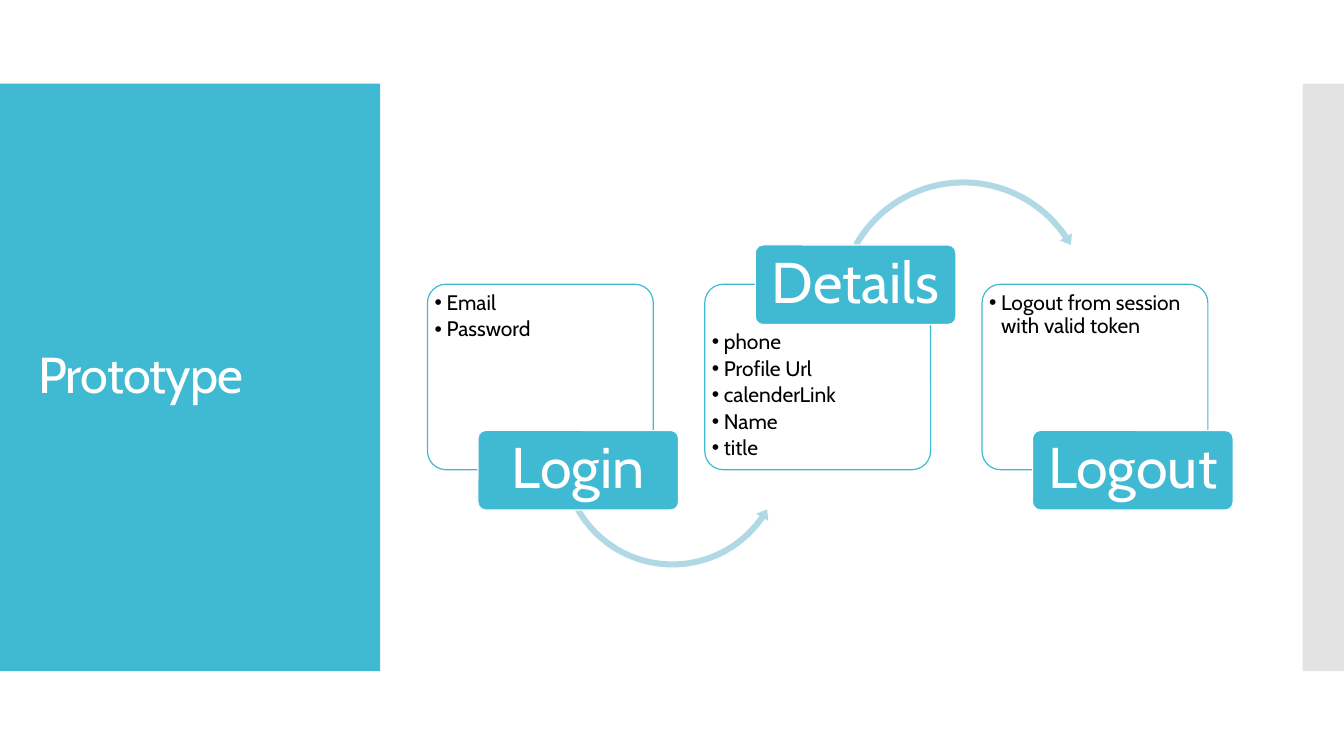
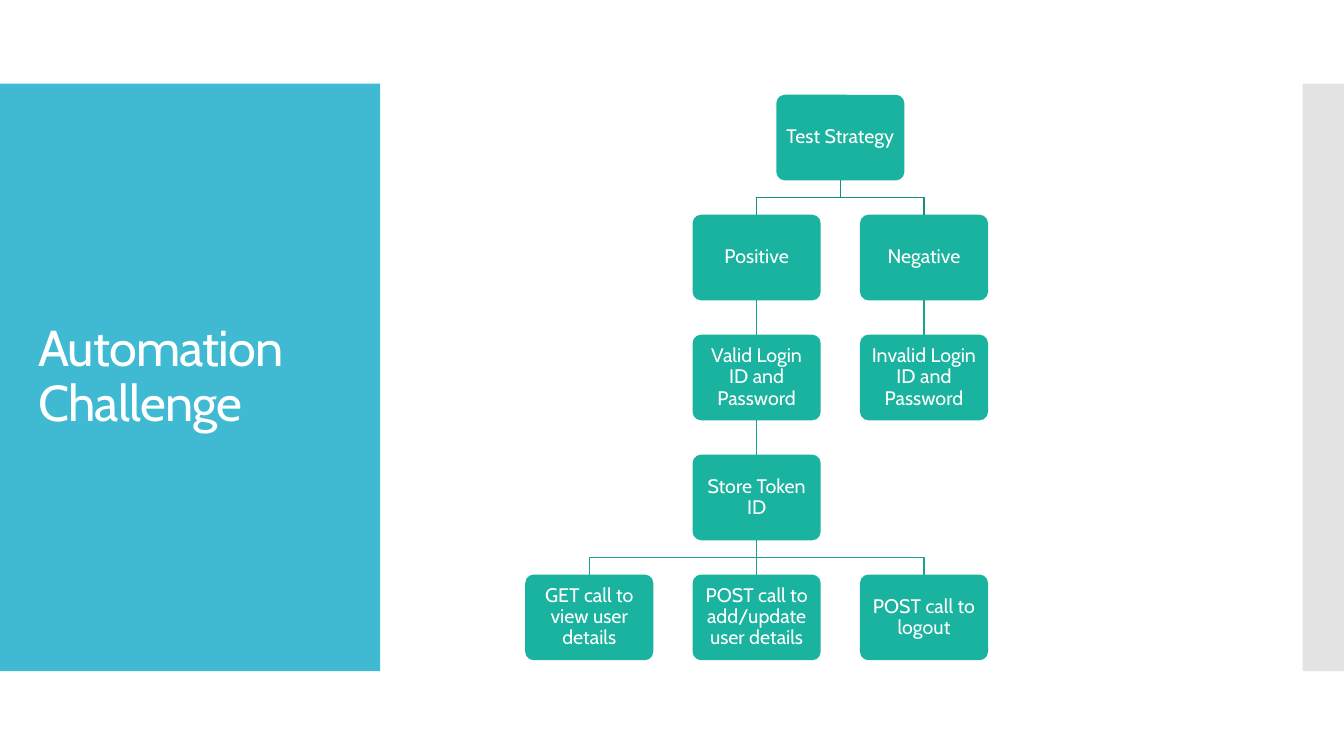
from dataclasses import dataclass
from typing import Optional

from lxml import etree
from pptx import Presentation
from pptx.dml.color import RGBColor
from pptx.enum.shapes import MSO_CONNECTOR, MSO_SHAPE
from pptx.enum.text import MSO_ANCHOR, MSO_AUTO_SIZE, PP_ALIGN
from pptx.oxml.ns import qn
from pptx.util import Inches, Pt

RECT, ROUNDED = MSO_SHAPE.RECTANGLE, MSO_SHAPE.ROUNDED_RECTANGLE
ARC_OVER, ARC_UNDER = MSO_SHAPE.CIRCULAR_ARROW, MSO_SHAPE.LEFT_CIRCULAR_ARROW
STRAIGHT = MSO_CONNECTOR.STRAIGHT
TOP, MIDDLE = MSO_ANCHOR.TOP, MSO_ANCHOR.MIDDLE
LEFT, CENTER = PP_ALIGN.LEFT, PP_ALIGN.CENTER
NO_AUTOFIT = MSO_AUTO_SIZE.NONE
TOP_SITE, BOTTOM_SITE = 0, 2
COMPARISON_LAYOUT, TITLE_LAYOUT = 4, 5


@dataclass(frozen=True)
class Theme:
    """Colours, font and type sizes of the deck."""
    white: RGBColor = RGBColor(0xFF, 0xFF, 0xFF)
    black: RGBColor = RGBColor(0, 0, 0)
    accent: RGBColor = RGBColor(0x40, 0xBA, 0xD2)
    pale_accent: RGBColor = RGBColor(0xB0, 0xD9, 0xE5)
    grey: RGBColor = RGBColor(0xC8, 0xC8, 0xC8)
    node: RGBColor = RGBColor(0x1A, 0xB3, 0x9F)
    root_link: RGBColor = RGBColor(0x15, 0x8F, 0x7F)
    link: RGBColor = RGBColor(0x18, 0xA2, 0x90)
    font: str = "Cabin"
    title_size: float = 36
    caption_size: float = 41
    list_size: float = 15
    node_size: float = 14
    line_width: float = 0.85
    corner: float = 0.1


@dataclass(frozen=True)
class Box:
    """A rectangle in inches."""
    left: float
    top: float
    width: float
    height: float

    def emu(self) -> tuple:
        """Return the four lengths for python-pptx."""
        return tuple(map(Inches, (self.left, self.top, self.width, self.height)))


@dataclass(frozen=True)
class Stage:
    """One step of the prototype flow."""
    caption: str
    items: tuple
    caption_on_top: bool = False


@dataclass(frozen=True)
class Arc:
    """A curved arrow; angles in degrees."""
    preset: int
    left: float
    top: float
    size: float
    head_angle: float
    end: float
    start: float


@dataclass(frozen=True)
class Node:
    """One box of the strategy tree, placed by column and row."""
    text: str
    column: float
    row: int
    parent: Optional[str] = None


THEME = Theme()
TITLE_BOX = Box(0.28, 1.23, 3.22, 5.03)

STAGES = (
    Stage("Login", ("Email", "Password")),
    Stage("Details", ("phone", "Profile Url", "calenderLink", "Name", "title"), True),
    Stage("Logout", ("Logout from session with valid token",)),
)
ARCS = (
    Arc(ARC_UNDER, 5.52, 3.37, 2.3, 4.95, 34.54, 150.41),
    Arc(ARC_OVER, 8.26, 1.74, 2.59, 4.37, 326.04, 209.59),
)
CARD_LEFT, CARD_TOP, CARD_STEP = 4.24, 2.82, 2.75
CARD_WIDTH, CARD_HEIGHT = 2.24, 1.84
ARC_THICKNESS, ARC_HEAD = 0.06, 0.07

NODES = (
    Node("Test Strategy", 1.5, 0),
    Node("Positive", 1, 1, "Test Strategy"),
    Node("Negative", 2, 1, "Test Strategy"),
    Node("Valid Login ID and Password", 1, 2, "Positive"),
    Node("Invalid Login ID and Password", 2, 2, "Negative"),
    Node("Store Token ID", 1, 3, "Valid Login ID and Password"),
    Node("GET call to view user details", 0, 4, "Store Token ID"),
    Node("POST call to add/update user details", 1, 4, "Store Token ID"),
    Node("POST call to logout", 2, 4, "Store Token ID"),
)
TREE_LEFT, TREE_TOP, COLUMN_STEP, ROW_STEP = 5.21, 0.94, 1.66, 1.19
NODE_WIDTH, NODE_HEIGHT = 1.27, 0.85


def write_text(frame, *lines: str, size: float, color: RGBColor = THEME.white,
               align=CENTER, anchor=MIDDLE, insets: tuple = (0.1, 0.05),
               after: float = 0, tracking: float = 0, bullets: bool = False) -> None:
    """Fill a text frame with one paragraph per line, all in one format."""
    frame.word_wrap = True
    frame.auto_size = NO_AUTOFIT
    frame.vertical_anchor = anchor
    frame.margin_left = frame.margin_right = Inches(insets[0])
    frame.margin_top = frame.margin_bottom = Inches(insets[1])
    for index, line in enumerate(lines):
        paragraph = frame.add_paragraph() if index else frame.paragraphs[0]
        paragraph.text = line
        paragraph.alignment = align
        paragraph.line_spacing = 0.9
        paragraph.space_before, paragraph.space_after = Pt(0), Pt(after)
        if bullets:
            add_bullet(paragraph)
        for run in paragraph.runs:
            run.font.name, run.font.size = THEME.font, Pt(size)
            run.font.bold = False
            run.font.color.rgb = color
            if tracking:
                run.font._element.set("spc", str(round(tracking * 100)))


def add_bullet(paragraph) -> None:
    """Give a paragraph a round bullet with a hanging indent."""
    properties = paragraph._p.get_or_add_pPr()
    hang = Inches(0.12)
    properties.set("marL", str(hang))
    properties.set("indent", str(-hang))
    etree.SubElement(properties, qn("a:buChar")).set("char", "•")


def add_block(slide, preset, box: Box, fill: RGBColor,
              line: Optional[RGBColor] = None, opacity: int = 100):
    """Add a flat preset shape with optional outline and transparency."""
    block = slide.shapes.add_shape(preset, *box.emu())
    block.shadow.inherit = False
    block.fill.solid()
    block.fill.fore_color.rgb = fill
    if opacity < 100:
        color = block.element.spPr.find(qn("a:solidFill"))[0]
        etree.SubElement(color, qn("a:alpha")).set("val", str(opacity * 1000))
    if line is None:
        block.line.fill.background()
    else:
        style_line(block, line)
    if preset == ROUNDED:
        block.adjustments[0] = THEME.corner
    return block


def style_line(shape, color: RGBColor) -> None:
    """Apply the deck's thin line in a colour."""
    shape.line.color.rgb = color
    shape.line.width = Pt(THEME.line_width)


def move_to(shape, box: Box) -> None:
    """Place a shape on a box."""
    shape.left, shape.top, shape.width, shape.height = box.emu()


def add_slide(deck, layout: int, title: str):
    """Add a slide with the title set in the left band."""
    slide = deck.slides.add_slide(deck.slide_layouts[layout])
    heading = slide.shapes.title
    move_to(heading, TITLE_BOX)
    write_text(heading.text_frame, title, size=THEME.title_size, align=LEFT,
               tracking=-0.6)
    return slide


def add_master_bands(deck, slide) -> None:
    """Put the title band and the edge band behind everything on the master."""
    tree = deck.slide_master.shapes.element
    bands = (
        add_block(slide, RECT, Box(0, 0.83, 3.77, 5.83), THEME.accent),
        add_block(slide, RECT, Box(12.92, 0.83, 0.42, 5.83), THEME.grey, opacity=50),
    )
    for index, band in enumerate(bands):
        band.element.nvSpPr.cNvPr.set("id", str(100 + index))
        tree.insert(2 + index, band.element)


def add_stage(slide, stage: Stage, left: float, listing) -> None:
    """Draw a card with its bulleted list."""
    add_block(slide, ROUNDED, Box(left, CARD_TOP, CARD_WIDTH, CARD_HEIGHT),
              THEME.white, THEME.accent, opacity=90)
    top = CARD_TOP + (0.44 if stage.caption_on_top else 0.05)
    move_to(listing, Box(left + 0.04, top, 2.15, 1.36))
    write_text(listing.text_frame, *stage.items, size=THEME.list_size,
               color=THEME.black, align=LEFT, anchor=TOP, insets=(0.03, 0.03),
               after=2.7, bullets=True)
    slide.shapes.element.append(listing.element)


def add_caption(slide, stage: Stage, left: float) -> None:
    """Draw the caption that overlaps a card's edge."""
    top = 2.43 if stage.caption_on_top else 4.27
    caption = add_block(slide, ROUNDED, Box(left + 0.5, top, 1.99, 0.79),
                        THEME.accent, THEME.white)
    write_text(caption.text_frame, stage.caption, size=THEME.caption_size,
               insets=(0.09, 0.06))


def add_arc(slide, arc: Arc) -> None:
    """Draw a curved arrow from one stage to the next."""
    arrow = add_block(slide, arc.preset, Box(arc.left, arc.top, arc.size, arc.size),
                      THEME.pale_accent)
    angles = [degrees * 0.6 for degrees in (arc.head_angle, arc.end, arc.start)]
    settings = (ARC_THICKNESS / arc.size, *angles, ARC_HEAD / arc.size)
    for index, value in enumerate(settings):
        arrow.adjustments[index] = value


def build_prototype(slide) -> None:
    """Draw the three-stage flow."""
    listings = [holder for holder in slide.placeholders
                if holder.placeholder_format.idx > 0]
    for spare in listings[len(STAGES):]:
        spare.element.getparent().remove(spare.element)
    lefts = [CARD_LEFT + CARD_STEP * index for index in range(len(STAGES))]
    for stage, left, listing in zip(STAGES, lefts, listings):
        add_stage(slide, stage, left, listing)
    for arc in ARCS:
        add_arc(slide, arc)
    for stage, left in zip(STAGES, lefts):
        add_caption(slide, stage, left)


def add_link(slide, parent, child, color: RGBColor) -> None:
    """Join a parent's bottom to a child's top, with a bend where needed."""
    start_x, end_x = (box.left + box.width // 2 for box in (parent, child))
    start_y, end_y = parent.top + parent.height, child.top
    if start_x == end_x:
        link = slide.shapes.add_connector(STRAIGHT, start_x, start_y, end_x, end_y)
        link.begin_connect(parent, BOTTOM_SITE)
        link.end_connect(child, TOP_SITE)
        etree.SubElement(link.element.spPr, qn("a:effectLst"))
    else:
        bend_y = (start_y + end_y) // 2
        outline = slide.shapes.build_freeform(start_x, start_y)
        outline.add_line_segments(
            [(start_x, bend_y), (end_x, bend_y), (end_x, end_y)], close=False)
        link = outline.convert_to_shape()
        link.fill.background()
        link.shadow.inherit = False
    style_line(link, color)


def build_strategy_tree(slide) -> None:
    """Draw the test strategy tree."""
    drawn = {}
    for node in NODES:
        box = Box(TREE_LEFT + COLUMN_STEP * node.column,
                  TREE_TOP + ROW_STEP * node.row, NODE_WIDTH, NODE_HEIGHT)
        block = add_block(slide, ROUNDED, box, THEME.node)
        write_text(block.text_frame, node.text, size=THEME.node_size,
                   insets=(0.06, 0.06))
        drawn[node.text] = block
        if node.parent:
            color = THEME.root_link if node.row == 1 else THEME.link
            add_link(slide, drawn[node.parent], block, color)


def main() -> None:
    """Build and save the deck."""
    deck = Presentation()
    deck.slide_width, deck.slide_height = Inches(13.33), Inches(7.5)
    prototype = add_slide(deck, COMPARISON_LAYOUT, "Prototype")
    add_master_bands(deck, prototype)
    build_prototype(prototype)
    build_strategy_tree(add_slide(deck, TITLE_LAYOUT, "Automation\vChallenge"))
    deck.save("out.pptx")


main()
